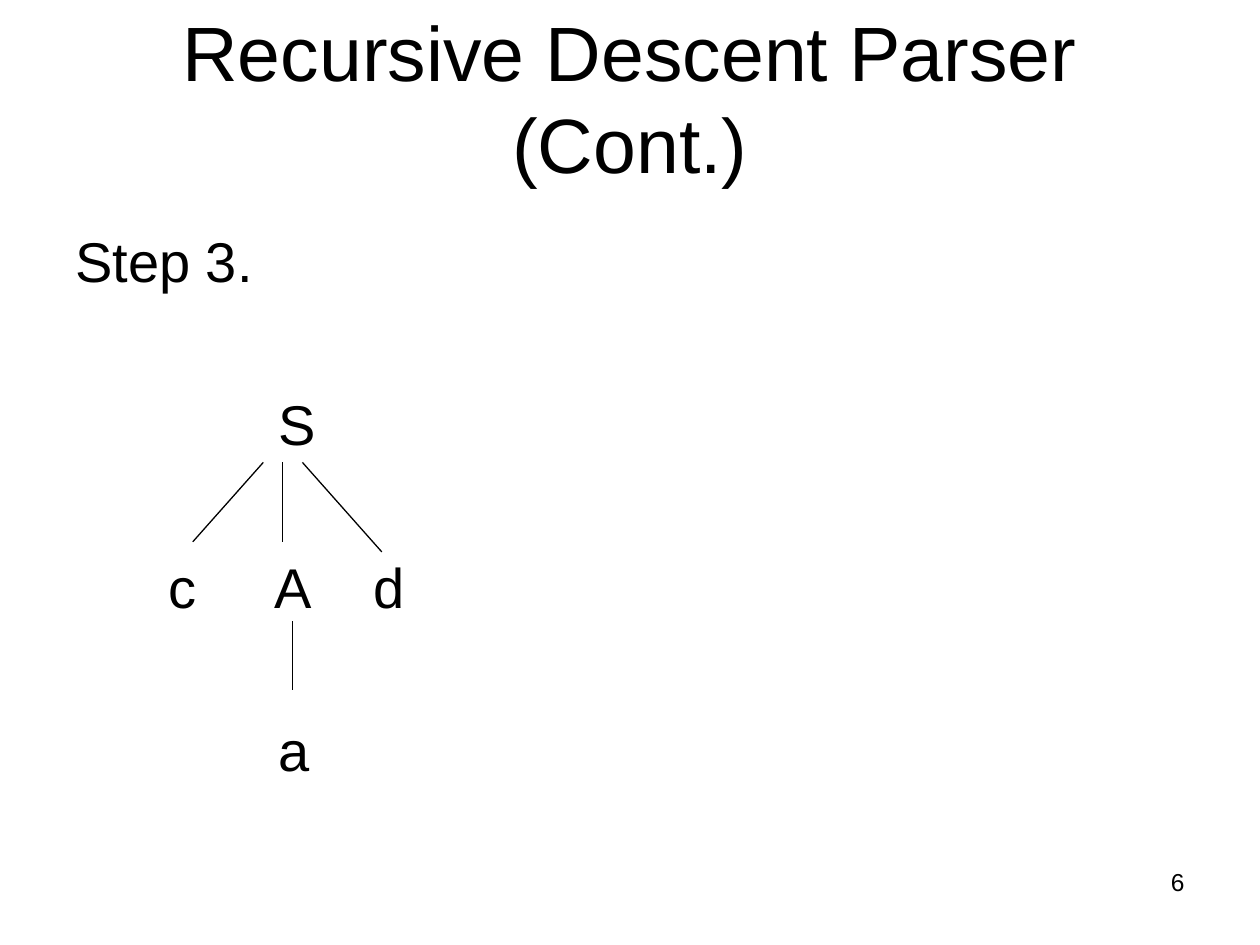
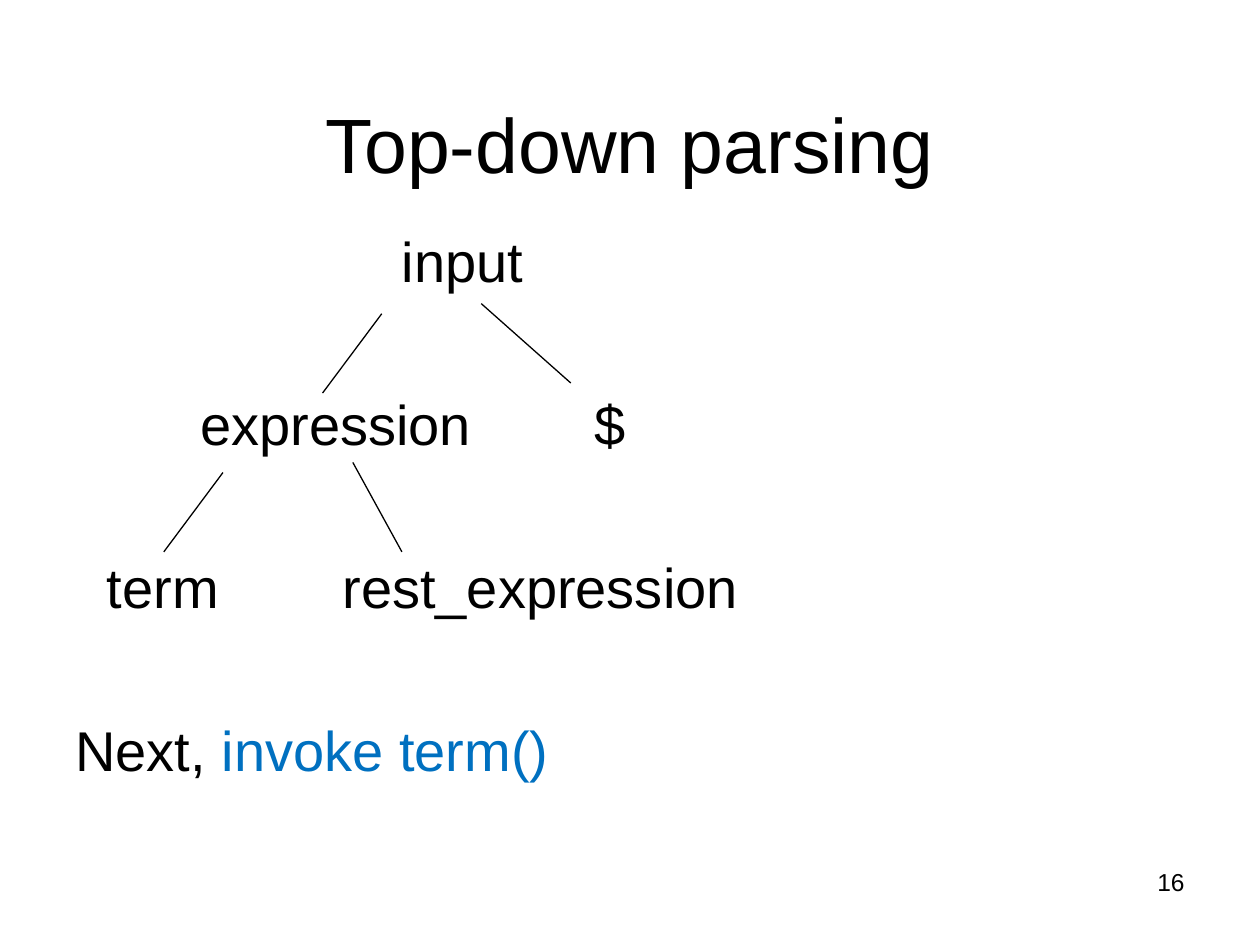
from lxml.etree import SubElement
from pptx import Presentation
from pptx.dml.color import RGBColor
from pptx.enum.shapes import MSO_CONNECTOR as Connector
from pptx.enum.text import MSO_ANCHOR as Anchor, PP_ALIGN as Align
from pptx.oxml.ns import qn
from pptx.util import Inches, Pt

BLACK = RGBColor(0x00, 0x00, 0x00)
BLUE = RGBColor(0x00, 0x70, 0xC0)
FONT = "Arial"
TITLE_SIZE, BODY_SIZE, NUMBER_SIZE = 44, 32, 14
TITLE_LINE, BODY_LINE, ROW_GAP = 52.5, 38.5, 54.5

PARSER_ROWS = [
    [(0, "Step 3.", BLACK)],
    [(1.61, "S", BLACK)],
    [(0.74, "c", BLACK), (1.58, "A", BLACK), (2.37, "d", BLACK)],
    [(1.61, "a", BLACK)],
]
PARSER_BRANCHES = [
    (2.09, 3.67, 1.53, 4.3),
    (2.24, 3.67, 2.24, 4.3),
    (2.4, 3.67, 3.03, 4.38),
    (2.32, 4.93, 2.32, 5.48),
]
TOP_DOWN_ROWS = [
    [(2.59, "input", BLACK)],
    [(0.99, "expression", BLACK), (4.12, "$", BLACK)],
    [(0.25, "term", BLACK), (2.12, "rest_expression", BLACK)],
    [(0, "Next, ", BLACK), (0, "invoke term()", BLUE)],
]
TOP_DOWN_BRANCHES = [
    (3.03, 2.49, 2.56, 3.12),
    (3.82, 2.41, 4.53, 3.04),
    (1.77, 3.75, 1.3, 4.38),
    (2.8, 3.67, 3.19, 4.38),
]


def add_frame(slide, left, top, width, height, anchor=Anchor.TOP):
    frame = slide.shapes.add_textbox(
        Inches(left), Inches(top), Inches(width), Inches(height)).text_frame
    frame.word_wrap = True
    frame.vertical_anchor = anchor
    return frame


def add_run(paragraph, text, size, color=BLACK):
    run = paragraph.add_run()
    run.text = text
    run.font.name = FONT
    run.font.size = Pt(size)
    run.font.color.rgb = color


def add_number(slide, number):
    paragraph = add_frame(slide, 7.17, 6.83, 2.33, 0.52).paragraphs[0]
    paragraph.alignment = Align.RIGHT
    add_run(paragraph, str(number), NUMBER_SIZE)


def add_title(slide, title):
    paragraph = add_frame(slide, 0.5, 0.3, 9, 1.25, Anchor.BOTTOM).paragraphs[0]
    paragraph.alignment = Align.CENTER
    paragraph.line_spacing = Pt(TITLE_LINE)
    add_run(paragraph, title, TITLE_SIZE)


def set_tabs(paragraph, stops):
    tabs = SubElement(paragraph._p.get_or_add_pPr(), qn("a:tabLst"))
    for stop in stops:
        SubElement(tabs, qn("a:tab"), pos=str(Inches(stop)), algn="l")


def add_rows(slide, rows):
    frame = add_frame(slide, 0.5, 1.75, 9, 4.95)
    for index, row in enumerate(rows):
        paragraph = frame.add_paragraph() if index else frame.paragraphs[0]
        paragraph.line_spacing = Pt(BODY_LINE)
        paragraph.space_before = Pt(ROW_GAP if index else 0)
        stops = [stop for stop, _, _ in row if stop]
        if stops:
            set_tabs(paragraph, stops)
        for stop, label, color in row:
            add_run(paragraph, "\t" + label if stop else label, BODY_SIZE, color)


def add_branch(slide, *ends):
    branch = slide.shapes.add_connector(
        Connector.STRAIGHT, *(Inches(end) for end in ends))
    branch.line.color.rgb = BLACK
    branch.line.width = Pt(0.74)
    SubElement(branch._element.spPr, qn("a:effectLst"))


def add_tree_slide(deck, number, title, rows, branches):
    slide = deck.slides.add_slide(deck.slide_layouts[6])
    add_number(slide, number)
    add_title(slide, title)
    add_rows(slide, rows)
    for ends in branches:
        add_branch(slide, *ends)


def main():
    deck = Presentation()
    deck.slide_width, deck.slide_height = Inches(10), Inches(7.5)
    add_tree_slide(deck, 6, "Recursive Descent Parser (Cont.)",
                   PARSER_ROWS, PARSER_BRANCHES)
    add_tree_slide(deck, 16, "Top-down parsing",
                   TOP_DOWN_ROWS, TOP_DOWN_BRANCHES)
    deck.save("out.pptx")


main()
